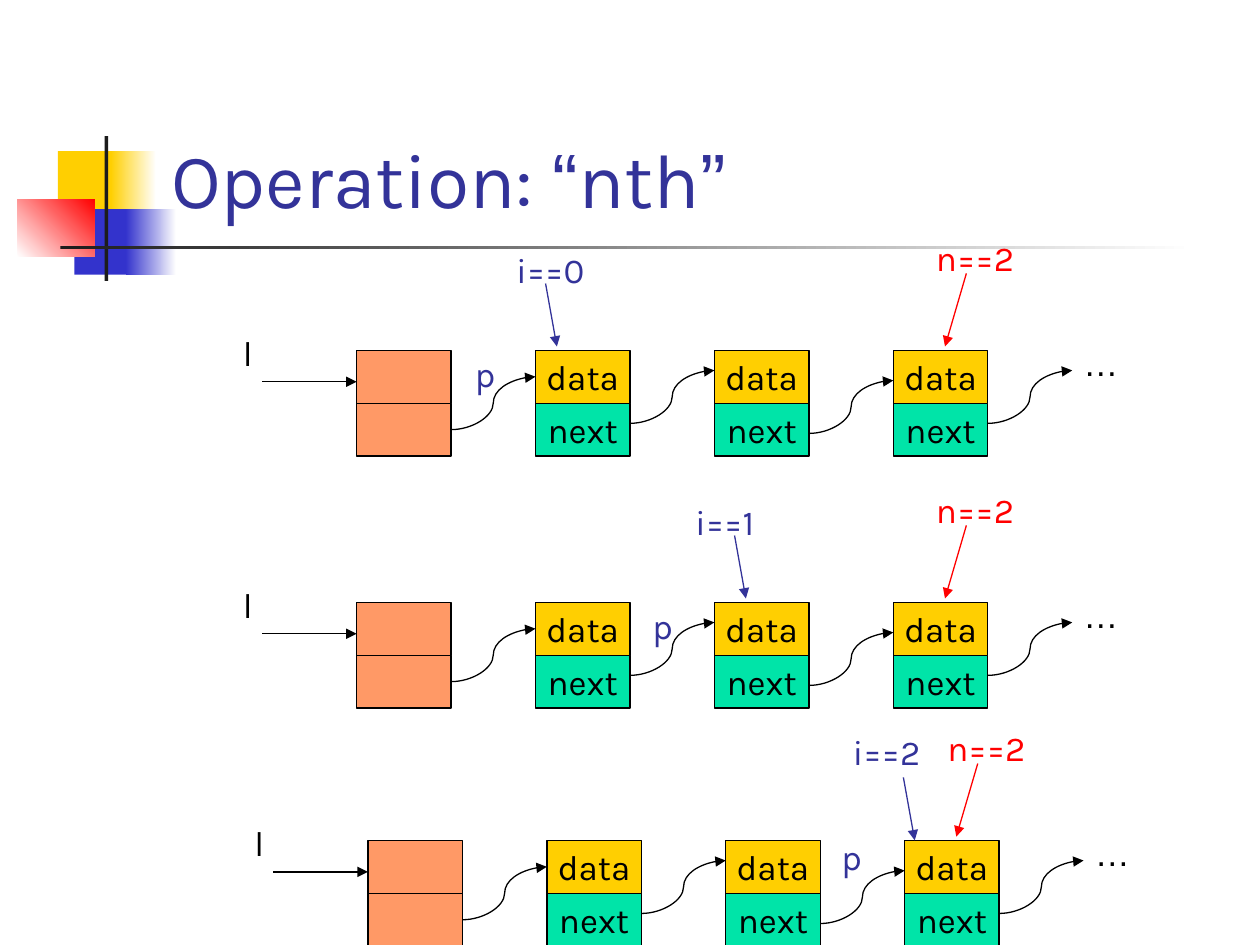
from dataclasses import dataclass
from typing import Any

import pptx
import pptx.dml.color
import pptx.enum.shapes
import pptx.enum.text
import pptx.oxml
import pptx.oxml.ns
import pptx.util

Inches = pptx.util.Inches
RGBColor = pptx.dml.color.RGBColor
Anchor = pptx.enum.text.MSO_ANCHOR
Align = pptx.enum.text.PP_ALIGN
Connector = pptx.enum.shapes.MSO_CONNECTOR

BLACK = RGBColor(0x00, 0x00, 0x00)
WHITE = RGBColor(0xFF, 0xFF, 0xFF)
CHARCOAL = RGBColor(0x1C, 0x1C, 0x1C)
GOLD = RGBColor(0xFF, 0xCF, 0x01)
BLUE = RGBColor(0x33, 0x33, 0xCC)
NAVY = RGBColor(0x33, 0x33, 0x99)
RED = RGBColor(0xFF, 0x00, 0x00)
ORANGE = RGBColor(0xFF, 0x99, 0x66)
GREEN = RGBColor(0x00, 0xE4, 0xA8)

CELL_WIDTH, CELL_HEIGHT = 0.75, 0.42
NODE_PITCH = 1.42
LINK_WIDTH, LINK_RISE = 0.67, 0.42
LINK_STARTS = (0.62, 0.58, 0.66, 0.58)


@dataclass(frozen=True)
class Ornament:
    left: float
    top: float
    width: float
    height: float
    start: RGBColor
    end: RGBColor | None = None
    angle: int = 0


@dataclass(frozen=True)
class Step:
    index: int
    left: float
    top: float
    counter: tuple[float, float]
    counter_arrow: tuple[float, float]
    cursor: tuple[float, float]


ORNAMENTS = (
    Ornament(0.46, 1.2, 0.48, 0.52, GOLD),
    Ornament(0.88, 1.2, 0.36, 0.52, GOLD, WHITE),
    Ornament(0.59, 1.66, 0.46, 0.52, BLUE),
    Ornament(1, 1.66, 0.4, 0.52, BLUE, WHITE),
    Ornament(0.14, 1.58, 0.61, 0.46, WHITE, RED, 45),
    Ornament(0.83, 1.08, 0.03, 1.15, CHARCOAL),
    Ornament(0.48, 1.95, 9, 0.03, CHARCOAL, WHITE),
)

STEPS = (
    Step(0, 2.83, 2.78, (4, 1.92), (4.33, 2.25), (3.67, 2.75)),
    Step(1, 2.83, 4.78, (5.42, 3.92), (5.83, 4.25), (5.08, 4.75)),
    Step(2, 2.92, 6.67, (6.67, 5.75), (7.17, 6.17), (6.58, 6.58)),
)


def add_text(paragraph: Any, text: str, *, font: str = "Karla", size: float = 20,
             color: RGBColor = BLACK, align: Any = Align.LEFT) -> None:
    paragraph.alignment = align
    run = paragraph.add_run()
    run.text = text
    run.font.name = font
    run.font.size = pptx.util.Pt(size)
    run.font.color.rgb = color


def add_label(shapes: Any, left: float, top: float, width: float, text: str,
              wrap: bool = True, **text_format: Any) -> None:
    frame = shapes.add_textbox(
        Inches(left), Inches(top), Inches(width), Inches(0.43)).text_frame
    frame.word_wrap = wrap
    frame.auto_size = pptx.enum.text.MSO_AUTO_SIZE.SHAPE_TO_FIT_TEXT
    add_text(frame.paragraphs[0], text, **text_format)


def add_box(shapes: Any, left: float, top: float, width: float, height: float) -> Any:
    box = shapes.add_shape(
        pptx.enum.shapes.MSO_SHAPE.RECTANGLE,
        Inches(left), Inches(top), Inches(width), Inches(height))
    box.shadow.inherit = False
    return box


def add_ornament(shapes: Any, ornament: Ornament) -> None:
    box = add_box(shapes, ornament.left, ornament.top, ornament.width, ornament.height)
    box.line.fill.background()
    if ornament.end is None:
        box.fill.solid()
        box.fill.fore_color.rgb = ornament.start
        return
    box.fill.gradient()
    box.fill.gradient_angle = ornament.angle
    for stop, color in zip(box.fill.gradient_stops, (ornament.start, ornament.end)):
        stop.color.rgb = color


def add_cell(shapes: Any, left: float, top: float, color: RGBColor, text: str = "") -> Any:
    cell = add_box(shapes, left, top, CELL_WIDTH, CELL_HEIGHT)
    cell.fill.solid()
    cell.fill.fore_color.rgb = color
    cell.line.color.rgb = BLACK
    cell.line.width = pptx.util.Pt(0.75)
    if text:
        cell.text_frame.word_wrap = False
        cell.text_frame.vertical_anchor = Anchor.MIDDLE
        add_text(cell.text_frame.paragraphs[0], text, align=Align.CENTER)
    return cell


def add_arrow(shapes: Any, start: tuple[float, float], end: tuple[float, float],
              color: RGBColor = BLACK, kind: Any = Connector.STRAIGHT) -> Any:
    arrow = shapes.add_connector(kind, *map(Inches, start + end))
    arrow.line.color.rgb = color
    arrow.line.width = pptx.util.Pt(0.75)
    head = pptx.oxml.parse_xml(
        f'<a:tailEnd {pptx.oxml.ns.nsdecls("a")} type="triangle"/>')
    arrow.line._get_or_add_ln().append(head)
    arrow._element.spPr.append(
        pptx.oxml.parse_xml(f'<a:effectLst {pptx.oxml.ns.nsdecls("a")}/>'))
    return arrow


def add_linked_list(shapes: Any, left: float, top: float) -> None:
    upper_cells, lower_cells = [], []
    for node in range(4):
        node_left = left + node * NODE_PITCH
        upper, lower = ((GOLD, "data"), (GREEN, "next")) if node else ((ORANGE,), (ORANGE,))
        upper_cells.append(add_cell(shapes, node_left, top, *upper))
        lower_cells.append(add_cell(shapes, node_left, top + CELL_HEIGHT, *lower))

    add_arrow(shapes, (left - 0.75, top + 0.25), (left, top + 0.25))
    add_label(shapes, left - 1, top - 0.2, 0.27, "l", wrap=False)

    for node, drop in enumerate(LINK_STARTS):
        link_left = left + node * NODE_PITCH + CELL_WIDTH
        link = add_arrow(shapes, (link_left, top + drop),
                         (link_left + LINK_WIDTH, top + drop - LINK_RISE),
                         kind=Connector.CURVE)
        if node == 0:
            link.begin_connect(lower_cells[0], 3)
            link.end_connect(upper_cells[1], 1)
    add_label(shapes, left + 5.67, top - 0.12, 0.75, "…", font="Arial")


def add_step(shapes: Any, step: Step) -> None:
    add_linked_list(shapes.add_group_shape().shapes, step.left, step.top)
    add_label(shapes, step.left + 4.5, step.top - 0.95, 1.25, "n==2", color=RED)
    add_arrow(shapes, (step.left + 4.84, step.top - 0.61),
              (step.left + 4.67, step.top - 0.03), RED)
    add_label(shapes, *step.cursor, 0.42, "p", color=NAVY)
    add_label(shapes, *step.counter, 1.25, f"i=={step.index}", color=NAVY)
    arrow_left, arrow_top = step.counter_arrow
    add_arrow(shapes, step.counter_arrow, (arrow_left + 0.09, arrow_top + 0.5), NAVY)


def add_title(title: Any) -> None:
    title.left, title.top = Inches(1.26), Inches(0.23)
    title.width, title.height = Inches(8.52), Inches(1.6)
    title.text_frame.vertical_anchor = Anchor.BOTTOM
    for text, font in (("Operation: ", "Karla"), ("“", "Arial"),
                       ("nth", "Karla"), ("”", "Arial")):
        add_text(title.text_frame.paragraphs[0], text, font=font, size=44, color=NAVY)


def main() -> None:
    deck = pptx.Presentation()
    deck.slide_width, deck.slide_height = Inches(10), Inches(7.5)
    slide = deck.slides.add_slide(deck.slide_layouts[5])
    add_title(slide.shapes.title)
    for ornament in ORNAMENTS:
        add_ornament(slide.shapes, ornament)
    for step in STEPS:
        add_step(slide.shapes, step)
    deck.save("out.pptx")


if __name__ == "__main__":
    main()
